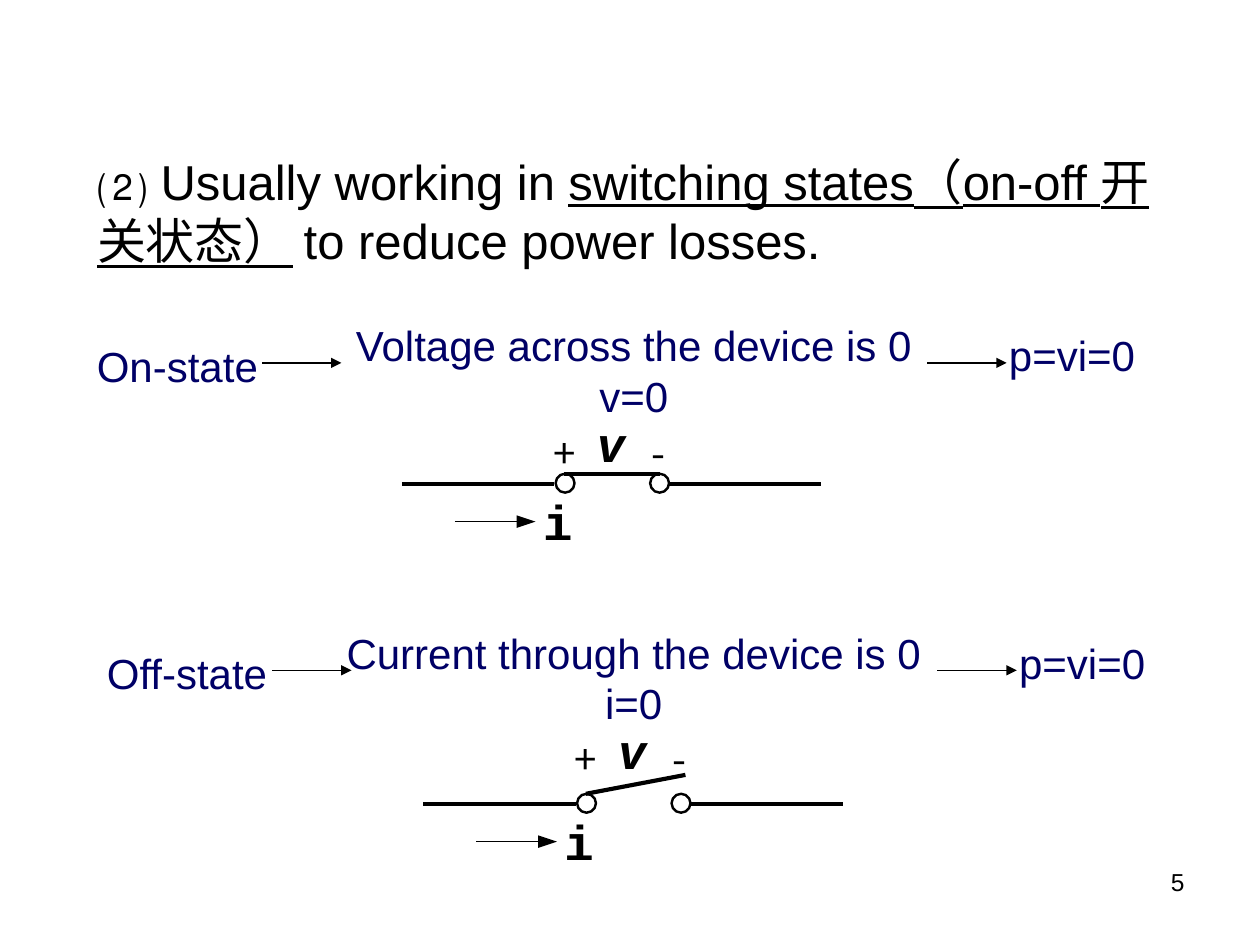
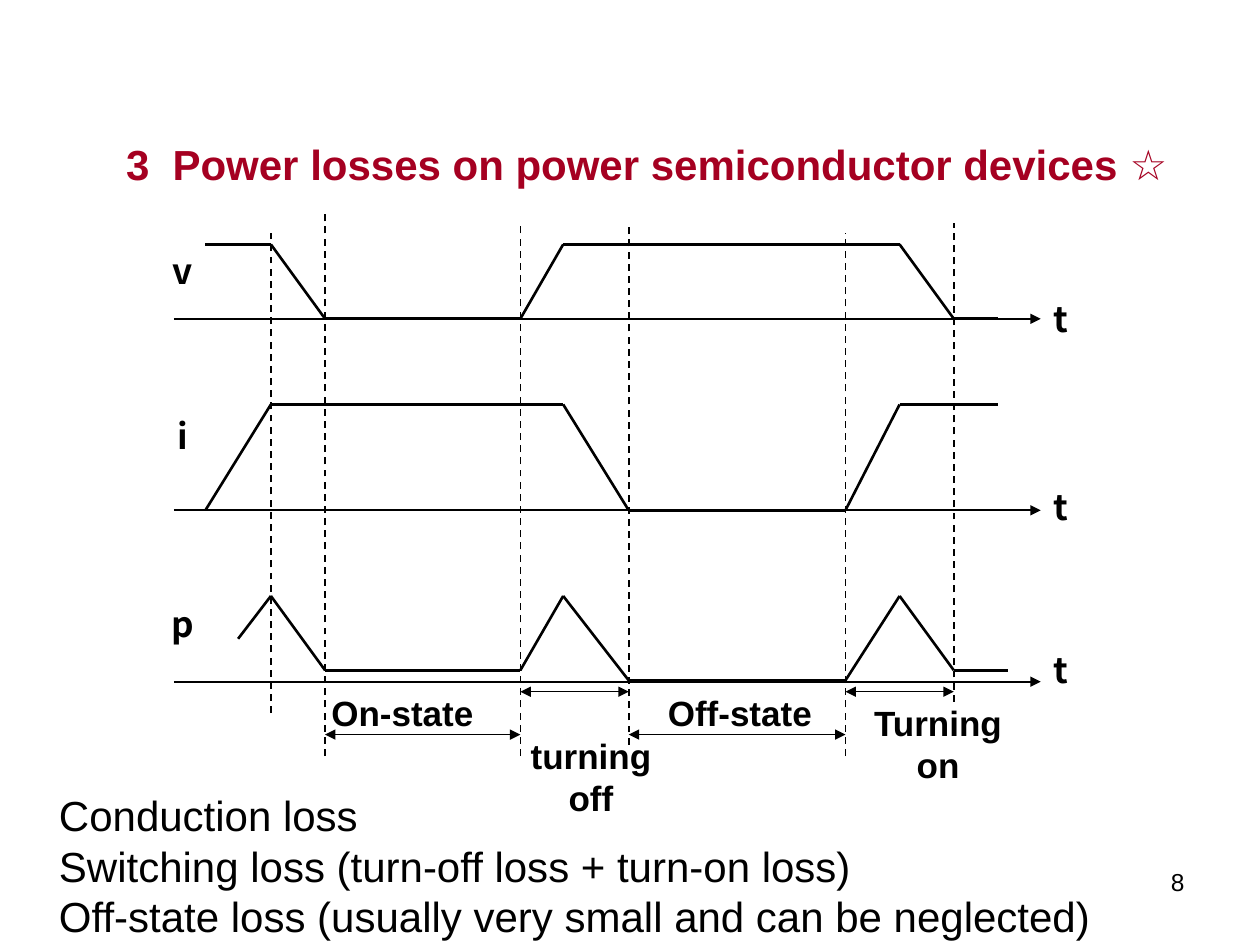
from lxml import etree
from pptx import Presentation
from pptx.dml.color import RGBColor as RGB
from pptx.enum.dml import MSO_LINE
from pptx.enum.shapes import MSO_CONNECTOR as CONNECTOR, MSO_SHAPE as SHAPE
from pptx.enum.text import MSO_ANCHOR as ANCHOR, MSO_AUTO_SIZE as AUTO, PP_ALIGN as ALIGN
from pptx.oxml.ns import qn
from pptx.util import Inches, Pt

COLORS = {"ink": "000000", "paper": "FFFFFF", "state": "000066", "heading": "A50021"}
SANS, CJK, MONO = "Arial", "Noto Sans CJK SC", "Courier New"

deck = Presentation()
deck.slide_width, deck.slide_height = Inches(10), Inches(7.5)
COL, ROW = deck.slide_width / 100, deck.slide_height / 75


def put(shape, box, text=None, size=24, color="ink", align=ALIGN.LEFT, inset=1,
        wrap=True, auto=AUTO.SHAPE_TO_FIT_TEXT, name=SANS, **font_values):
    left, top, width, height = box
    placing = {"left": left * COL, "top": top * ROW,
               "width": width * COL, "height": height * ROW}
    for key, value in placing.items():
        setattr(shape, key, round(value))
    frame = shape.text_frame
    if text:
        frame.text = text
    framing = {"word_wrap": wrap, "auto_size": auto, "vertical_anchor": ANCHOR.TOP,
               "margin_left": round(inset * COL), "margin_right": round(inset * COL),
               "margin_top": round(inset * ROW / 2), "margin_bottom": round(inset * ROW / 2)}
    for key, value in framing.items():
        setattr(frame, key, value)
    for paragraph in frame.paragraphs:
        paragraph.alignment = align
        for run in paragraph.runs:
            for key, value in {"size": Pt(size), "name": name, **font_values}.items():
                setattr(run.font, key, value)
            run.font.color.rgb = RGB.from_string(COLORS[color])


def draw_line(shapes, start, end, width, dash=None, ends=()):
    stroke = shapes.add_connector(
        CONNECTOR.STRAIGHT, round(start[0] * COL), round(start[1] * ROW),
        round(end[0] * COL), round(end[1] * ROW))
    stroke.line.color.rgb = RGB.from_string(COLORS["ink"])
    stroke.line.width = Pt(width)
    stroke.line.dash_style = dash
    for tip in ends:
        etree.SubElement(stroke.line._get_or_add_ln(), qn("a:" + tip), type="triangle")
    etree.SubElement(stroke._element.spPr, qn("a:effectLst"))


pages = []
for page_number in ("5", "8"):
    page = deck.slides.add_slide(deck.slide_layouts[5])
    put(page.shapes.add_textbox(0, 0, 0, 0), (71.7, 68.3, 23.3, 5.2), page_number,
        size=14, align=ALIGN.RIGHT, auto=AUTO.NONE)
    pages.append(page.shapes)
switching, losses = pages

statement = switching.title.text_frame.paragraphs[0]
for words, underlined in (("⑵ Usually working in ", False),
                          ("switching states（on-off 开关状态）", True),
                          (" to reduce power losses.", False)):
    phrase = statement.add_run()
    phrase.text = words
    phrase.font.underline = underlined
put(switching.title, (6.7, 11.5, 86.6, 10.4), size=28)

states = (
    ("On-state", "Voltage across the device is 0\vv=0", 46.3,
     (0, 0), (0, 0), 0, (52.4, 37.6)),
    ("Off-state", "Current through the device is 0\vi=0", 47.6,
     (0.8, 24.4), (1.7, 25.4), 24.3, (54.4, 61.5)),
)
for state, condition, condition_width, (dx, dy), (cx, cy), sign_dy, blade_end in states:
    put(switching.add_textbox(0, 0, 0, 0), (6.7 + dx, 26.5 + dy, 16.5, 5), state,
        color="state")
    put(switching.add_textbox(0, 0, 0, 0),
        (50.3 - condition_width / 2, 24.9 + dy, condition_width, 9), condition,
        color="state", align=ALIGN.CENTER, wrap=False)
    put(switching.add_textbox(0, 0, 0, 0), (79.1 + dx, 25.7 + dy, 12, 5), "p=vi=0",
        color="state", wrap=False)
    for arrow_left in (20.8, 73.6):
        draw_line(switching, (arrow_left + dx, 28.8 + dy), (arrow_left + 6.3 + dx, 28.8 + dy),
                  0.75, ends=["tailEnd"])

    marks = (("+", 43.9 + cx, 34 + sign_dy, 1.8, 3.8, {"size": 23, "name": CJK}),
             ("-", 51.7 + cx, 34 + sign_dy, 1.1, 3.8, {"size": 23, "name": CJK}),
             ("v", 47.4 + cx, 32.8 + dy, 2.2, 4.7, {"size": 28, "bold": True, "italic": True}),
             ("i", 43.1 + cx, 39 + cy, 1.2, 4.7, {"size": 28, "name": MONO, "bold": True}))
    for mark, left, top, width, height, look in marks:
        put(switching.add_textbox(0, 0, 0, 0), (left, top, width, height), mark,
            inset=0, wrap=False, **look)

    draw_line(switching, (36.1 + cx, 41.4 + cy), (41.1 + cx, 41.4 + cy), 0.88)
    tip_outline = switching.build_freeform(
        round((41 + cx) * COL), round((40.9 + cy) * ROW), scale=1.0)
    tip_outline.add_line_segments(
        [(round((x + cx) * COL), round((y + cy) * ROW)) for x, y in ((42.5, 41.4), (41, 41.9))])
    current_tip = tip_outline.convert_to_shape()
    current_tip.shadow.inherit = False
    current_tip.fill.solid()
    current_tip.fill.fore_color.rgb = RGB.from_string(COLORS["ink"])
    current_tip.line.fill.background()

    for contact_left, wire_left in ((44.1, 31.9), (51.6, 53.1)):
        draw_line(switching, (wire_left + cx, 38.4 + cy), (wire_left + 12.1 + cx, 38.4 + cy), 2.38)
        contact = switching.add_shape(
            SHAPE.OVAL, round((contact_left + cx) * COL), round((37.6 + cy) * ROW),
            round(1.5 * COL), round(1.5 * ROW))
        contact.shadow.inherit = False
        contact.fill.solid()
        contact.fill.fore_color.rgb = RGB.from_string(COLORS["paper"])
        contact.line.color.rgb = RGB.from_string(COLORS["ink"])
        contact.line.width = Pt(1.39)
    draw_line(switching, (44.8 + cx, 37.6 + cy), blade_end, 2.38)

put(losses.title, (9, 10.5, 88.2, 5),
    "3\tPower losses on power semiconductor devices ☆", color="heading", bold=True)
heading_format = losses.title.text_frame.paragraphs[0]._p.get_or_add_pPr()
tab_stops = etree.SubElement(heading_format, qn("a:tabLst"))
etree.SubElement(tab_stops, qn("a:tab"), pos=str(round(3.7 * COL)), algn="l")

put(losses.add_textbox(0, 0, 0, 0), (3.7, 62.2, 84, 13),
    "Conduction loss\nSwitching loss (turn-off loss + turn-on loss)\n"
    "Off-state loss (usually very small and can be neglected)")

v_low, i_low, p_low = 25.3, 40.5, 54.1
v_high, i_high, p_high, p_on = 19.4, 32.1, 47.3, 53.2
start, rise, on, off_start, off_mid, off, on_start, on_mid, on_again = (
    16.3, 21.5, 25.8, 41.3, 44.7, 49.9, 67.1, 71.4, 75.7)

for name, name_box, low, time_top in (("v", (13.7, 19.8, 1.6, 3.3), v_low, 23.6),
                                      ("i", (14.1, 32.9, 0.9, 3.3), i_low, 38.5),
                                      ("p", (13.6, 47.8, 1.8, 3.3), p_low, 51.5)):
    for letter, box in ((name, name_box), ("t", (83.6, time_top, 1.2, 3.3))):
        put(losses.add_textbox(0, 0, 0, 0), box, letter, size=20, name=CJK, bold=True,
            inset=0, wrap=False)
    draw_line(losses, (13.8, low), (82.6, low), 1, ends=["tailEnd"])

for moment, top, bottom in ((rise, 18.5, 56.6), (on, 16.8, 60), (off_start, 17.7, 60),
                            (off, 17.7, 59.1), (on_start, 18.5, 60), (on_again, 17.7, 55.7)):
    draw_line(losses, (moment, bottom), (moment, top), 1, dash=MSO_LINE.DASH)

voltage = ((start, v_high), (rise, v_high), (on, v_low), (off_start, v_low),
           (off_mid, v_high), (on_mid, v_high), (on_again, v_low), (79.2, v_low))
current = ((start, i_low), (rise, i_high), (off_mid, i_high), (off, i_low),
           (on_start, i_low), (on_mid, i_high), (79.2, i_high))
power = ((18.9, 50.7), (rise, p_high), (on, p_on), (off_start, p_on), (off_mid, p_high),
         (off, 54), (on_start, 54), (on_mid, p_high), (on_again, p_on), (80, p_on))
for waveform in (voltage, current, power):
    for here, there in zip(waveform, waveform[1:]):
        draw_line(losses, here, there, 1.5)

intervals = (
    ("On-state", (26.3, 54.9, 11.3, 3.3), False, on, off_start, 58.3),
    ("turning\voff", (41.3, 58.3, 11.2, 6.7), True, off_start, off, 54.9),
    ("Off-state", (53, 54.9, 11.5, 3.3), False, off, on_start, 58.3),
    ("Turning on", (68, 55.7, 12.9, 6.7), True, on_start, on_again, 54.9),
)
for interval, box, wraps, begin, finish, level in intervals:
    draw_line(losses, (begin, level), (finish, level), 0.75, ends=["headEnd", "tailEnd"])
    put(losses.add_textbox(0, 0, 0, 0), box, interval, size=20, bold=True, inset=0,
        wrap=wraps, align=ALIGN.CENTER if wraps else ALIGN.LEFT)

deck.save("out.pptx")
